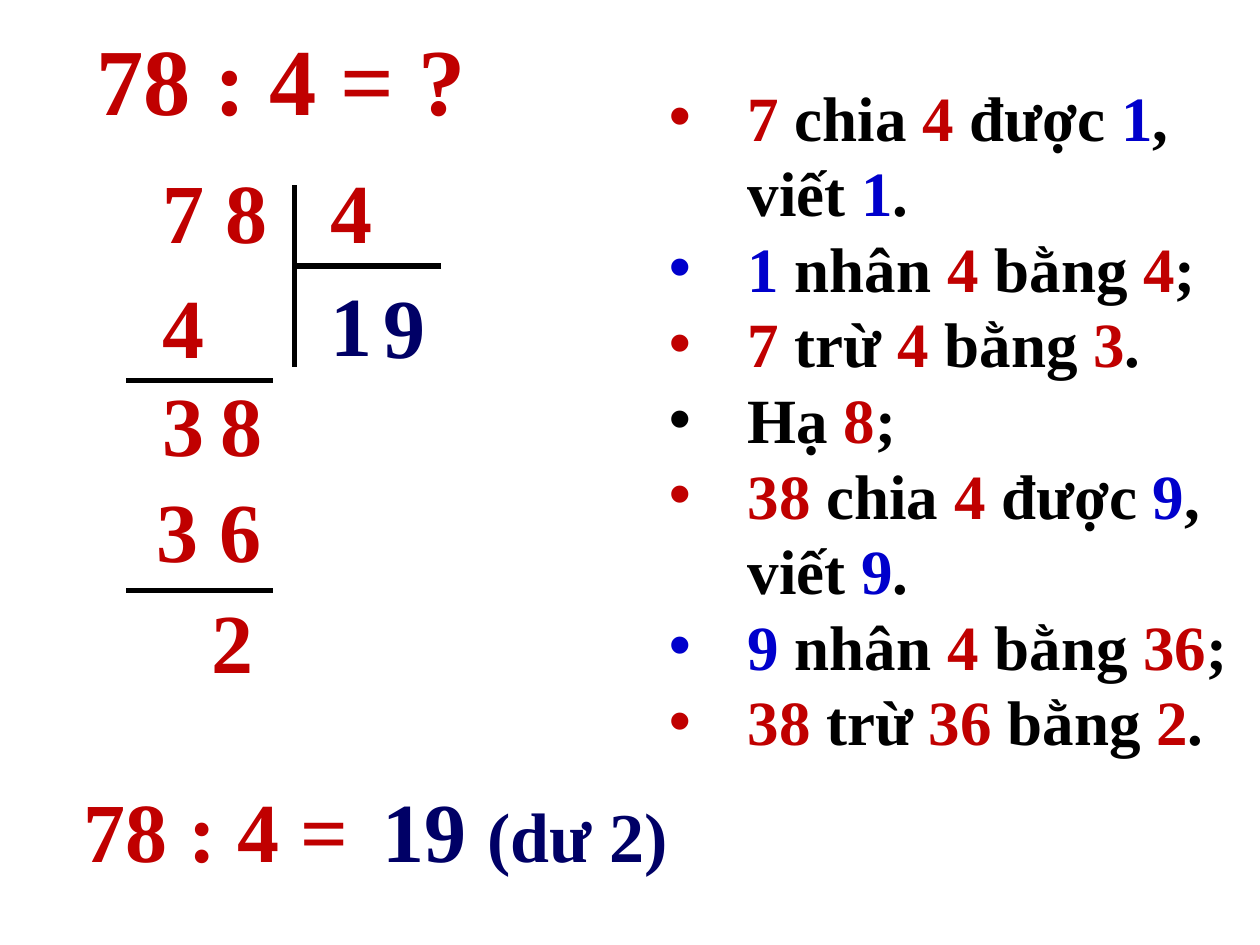
from itertools import groupby

from lxml.etree import SubElement
from pptx import Presentation
from pptx.dml.color import RGBColor
from pptx.enum.shapes import MSO_CONNECTOR as Connector
from pptx.enum.text import MSO_ANCHOR as Anchor, MSO_AUTO_SIZE as AutoSize, PP_ALIGN as Align
from pptx.oxml.ns import qn
from pptx.util import Pt

RED = RGBColor(0xC0, 0x00, 0x00)
BLUE = RGBColor(0x00, 0x00, 0xCC)
NAVY = RGBColor(0x00, 0x00, 0x66)
BLACK = RGBColor(0x00, 0x00, 0x00)

QUOTIENT_TAB = 96
BOX_HEIGHT = 64.8
STEPS = [
    ("7 chia 4 được 1, viết 1.", (RED, RED, BLUE, BLUE)),
    ("1 nhân 4 bằng 4;", (BLUE, RED, RED)),
    ("7 trừ 4 bằng 3.", (RED, RED, RED)),
    ("Hạ 8;", (RED,)),
    ("38 chia 4 được 9, viết 9.", (RED, RED, BLUE, BLUE)),
    ("9 nhân 4 bằng 36;", (BLUE, RED, RED)),
    ("38 trừ 36 bằng 2.", (RED, RED, RED)),
]


class LessonPage:
    font_name = "Times New Roman"
    digit_size = 48

    def __init__(self, page):
        self.page = page

    def place(self, shape, left, top, width, height):
        shape.left, shape.top = Pt(left), Pt(top)
        shape.width, shape.height = Pt(width), Pt(height)
        frame = shape.text_frame
        frame.word_wrap = True
        frame.auto_size = AutoSize.SHAPE_TO_FIT_TEXT
        frame.vertical_anchor = Anchor.TOP
        return frame

    def style(self, para, size, color=None, align=Align.LEFT):
        para.alignment = align
        para.space_before = Pt(0)
        para.font.name = self.font_name
        para.font.size = Pt(size)
        para.font.bold = True
        if color is not None:
            para.font.color.rgb = color

    def title(self, text, left, top, width, height):
        para = self.place(self.page.shapes.title, left, top, width, height).paragraphs[0]
        para.text = text
        self.style(para, 54, RED)

    def steps(self, steps, left, top, width, height):
        frame = self.place(self.page.placeholders[1], left, top, width, height)
        for index, (text, number_colors) in enumerate(steps):
            para = frame.add_paragraph() if index else frame.paragraphs[0]
            colors = iter(number_colors)
            for is_number, letters in groupby(text, str.isdigit):
                span = para.add_run()
                span.text = "".join(letters)
                span.font.color.rgb = next(colors) if is_number else BLACK
            self.bullet(para, para.runs[0].font.color.rgb)
            self.style(para, 36)

    def bullet(self, para, color):
        props = para._p.get_or_add_pPr()
        props.set("marL", str(Pt(45)))
        props.set("indent", str(Pt(-45)))
        fill = SubElement(props, qn("a:buClr"))
        SubElement(fill, qn("a:srgbClr"), val=str(color))
        SubElement(props, qn("a:buFont"), typeface="Arial")
        SubElement(props, qn("a:buChar"), char="•")

    def digits(self, text, left, top, width, color=RED, align=Align.LEFT, tab=None):
        box = self.page.shapes.add_textbox(0, 0, 0, 0)
        para = self.place(box, left, top, width, BOX_HEIGHT).paragraphs[0]
        para.text = text
        if tab:
            stops = SubElement(para._p.get_or_add_pPr(), qn("a:tabLst"))
            SubElement(stops, qn("a:tab"), pos=str(Pt(tab)), algn="l")
        self.style(para, self.digit_size, color, align)
        return para

    def rule(self, x1, y1, x2, y2):
        line = self.page.shapes.add_connector(
            Connector.STRAIGHT, Pt(x1), Pt(y1), Pt(x2), Pt(y2))
        line.line.color.rgb = BLACK
        line.line.width = Pt(3)
        SubElement(line._element.spPr, qn("a:effectLst"))


def main():
    deck = Presentation()
    deck.slide_width, deck.slide_height = Pt(720), Pt(540)
    lesson = LessonPage(deck.slides.add_slide(deck.slide_layouts[1]))

    lesson.title("78 : 4 = ?", 48, 8.6, 660, 72)
    lesson.steps(STEPS, 375, 41, 345, 396)

    lesson.digits("7 8\t4", 85.7, 87.8, 246, tab=QUOTIENT_TAB)
    lesson.digits("\t1", 85.7, 152, 246, NAVY, tab=QUOTIENT_TAB)
    lesson.digits("9", 198, 153.4, 66, NAVY, Align.CENTER)
    lesson.digits("4", 72, 153.4, 66, align=Align.CENTER)
    lesson.digits("3", 85.7, 209.5, 66)
    lesson.digits("8", 105, 209.5, 66, align=Align.CENTER)
    lesson.digits("3 6", 82.6, 270, 90)
    lesson.digits("2", 114, 333.4, 48)

    lesson.rule(168.4, 106, 168.4, 209.5)
    lesson.rule(252, 152, 168, 152)
    for y in (217.4, 337.6):
        lesson.rule(156, y, 72, y)

    lesson.digits("78 : 4 =", 40.6, 441.4, 166)
    answer = lesson.digits("19 ", 198, 441.4, 204, NAVY, Align.CENTER)
    remainder = answer.add_run()
    remainder.text = "(dư 2)"
    remainder.font.size = Pt(40)

    deck.save("out.pptx")


if __name__ == "__main__":
    main()
